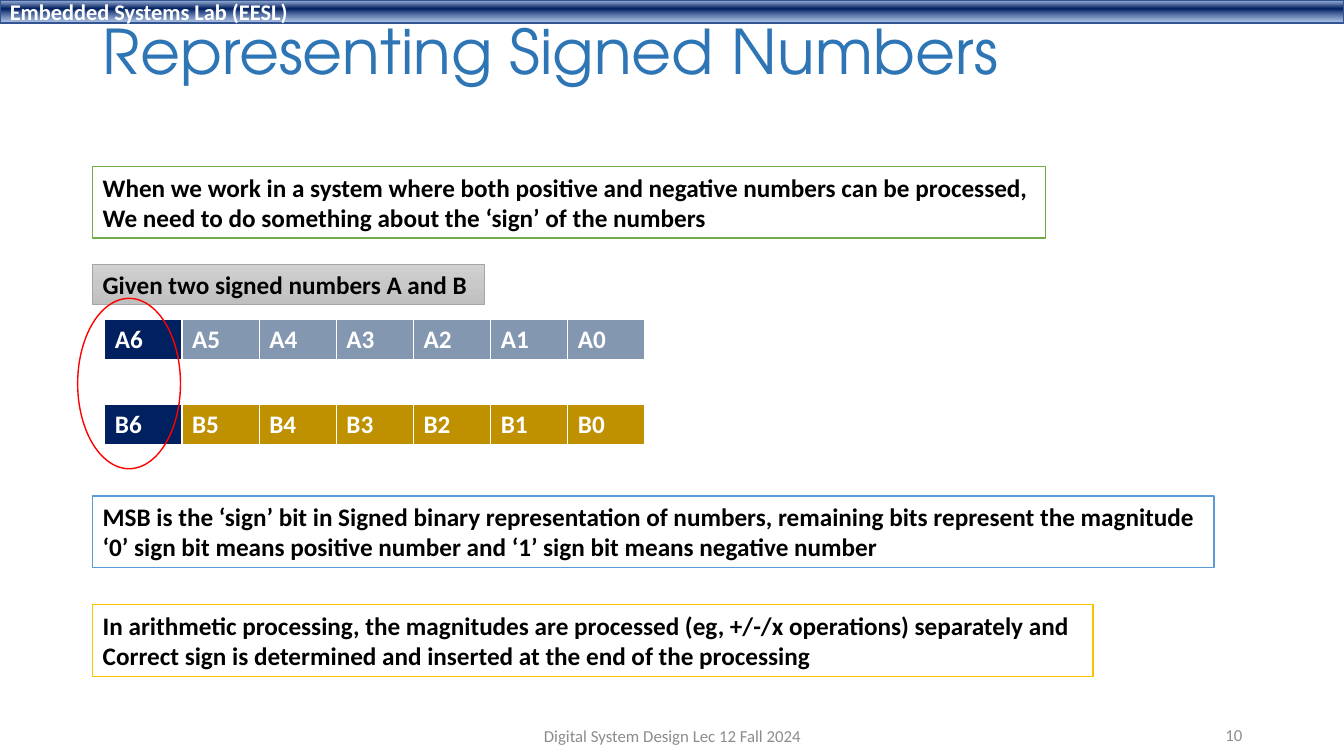
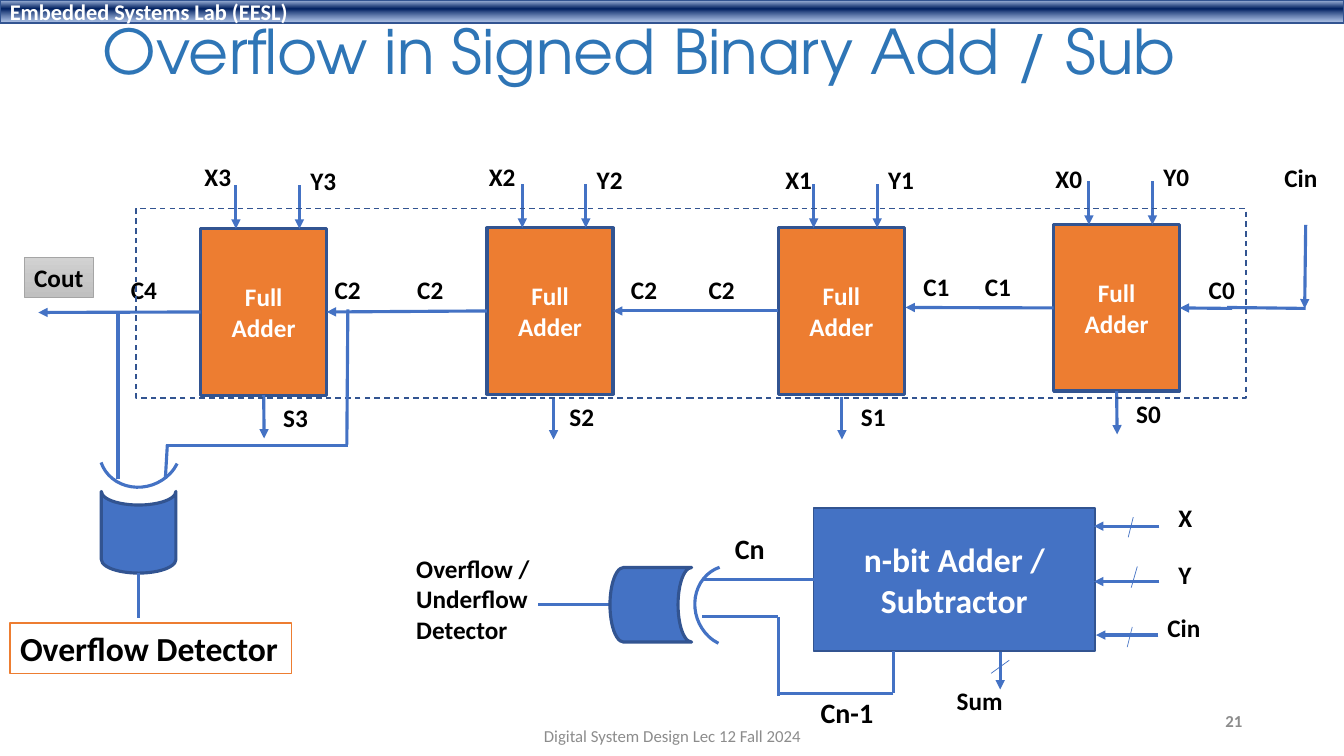
from lxml import etree
from pptx import Presentation
from pptx.dml.color import RGBColor
from pptx.enum import dml, shapes, text
from pptx.oxml.ns import qn
from pptx.util import Pt

PX = 9144
WIDTH, HEIGHT = 1333, 750
BODY, DISPLAY = "Calibri", "TeX Gyre Adventor"
KIND = shapes.MSO_SHAPE
LEFT, CENTER, RIGHT = text.PP_ALIGN.LEFT, text.PP_ALIGN.CENTER, text.PP_ALIGN.RIGHT
MIDDLE = {"vertical_anchor": text.MSO_ANCHOR.MIDDLE, "word_wrap": True}
WRAPPED = {"word_wrap": True, "auto_size": text.MSO_AUTO_SIZE.SHAPE_TO_FIT_TEXT}
SNUG = {**WRAPPED, "word_wrap": False}
TOP_SIDE, LEFT_SIDE, BOTTOM_SIDE, RIGHT_SIDE = range(4)
SIDE_MIDDLES = ((0.5, 0), (0, 0.5), (0.5, 1), (1, 0.5))

THEME = {
    "colors": {
        "white": "FFFFFF", "black": "000000", "title": "2E75B6", "muted": "8C8C8C",
        "navy": "002060", "slate": "8497B0", "ochre": "BF9000", "green": "70AD47",
        "sky": "5B9BD5", "gold": "FFC000", "red": "FF0000", "orange": "ED7D31",
        "blue": "4472C4", "edge": "325491", "gray": "A5A5A5",
    },
    "gradients": {
        "band": ((2, "ABC0E4", 100), (38, "002060", 100), (93, "7E9ED6", 64)),
        "silver": ((0, "D2D2D2", 100), (50, "C8C8C8", 100), (100, "C0C0C0", 100)),
    },
    "type": {
        "title": (DISPLAY, 44, False, "title"),
        "band": (BODY, 16, True, "white"),
        "label": (BODY, 18, True, "black"),
        "signal": (BODY, 20, True, "black"),
        "caption": (BODY, 24, True, "black"),
        "block": (BODY, 18, True, "white"),
        "big block": (BODY, 24, True, "white"),
        "footer": (BODY, 12, False, "muted"),
        "bold footer": (BODY, 12, True, "muted"),
    },
}

LAB = "Embedded Systems Lab (EESL)"
COURSE = "Digital System Design Lec 12 Fall 2024"

NOTES = [
    ((92, 165, 945, 71), "green", [
        "When we work in a system where both positive and negative numbers can be processed,",
        "We need to do something about the ‘sign’ of the numbers"]),
    ((92, 492, 1112, 71), "sky", [
        "MSB is the ‘sign’ bit in Signed binary representation of numbers, remaining bits represent the magnitude",
        "‘0’ sign bit means positive number and ‘1’ sign bit means negative number"]),
    ((92, 600, 992, 71), "gold", [
        "In arithmetic processing, the magnitudes are processed (eg, +/-/x operations) separately and",
        "Correct sign is determined and inserted at the end of the processing"]),
]
GIVEN = "Given two signed numbers A and B"
REGISTERS = [("A", 317, "slate"), ("B", 401, "ochre")]
BITS = range(6, -1, -1)

ADDER_W, ADDER_H = 125, 165
LABEL_W, LABEL_H = 50, 40
ADDERS = [
    {"at": (1045, 223), "x label": (1037, 157), "carry": ("C0", 1189, 267), "stem": None},
    {"at": (772, 226), "x label": (769, 158), "carry": ("C1", 906, 264), "stem": (835, 394)},
    {"at": (483, 226), "x label": (475, 155), "carry": ("C2", 616, 267), "stem": (549, 394)},
    {"at": (199, 227), "x label": (193, 155), "carry": ("C2", 322, 267), "stem": None},
]
RIPPLE_LABELS = [("C1", 967, 264), ("C2", 693, 267), ("C2", 404, 267), ("C4", 120, 267)]
DETECTOR_WIRES = [((164, 475), (166, 441)), ((117, 310), (117, 475)), ((165, 442), (345, 442)),
                  ((344, 441), (345, 307)), ((137, 568), (137, 613))]
DETECTOR_GATE = [((97, 491, 81, 74), 270), ((98, 408, 82, 75), 161.1)]
SUMMARY_WIRES = [((886, 646), (886, 688)), ((886, 688), (772, 688)), ((772, 690), (772, 612)),
                 ((772, 612), (696, 612)), ((605, 600), (534, 600))]
SUMMARY_GATE = [((605, 563, 81, 74), 0), ((686, 564, 82, 75), 251.1)]
BUSES = [
    ("X", (1159, 493, 36, 40), (1150, 522), (1085, 522), (1124, 513), (1119, 533)),
    ("Y", (1159, 550, 36, 40), (1150, 577), (1085, 577), (1128, 562), (1122, 583)),
    ("Cin", (1148, 603, 55, 40), (1149, 630), (1087, 630), (1123, 622), (1118, 642)),
    ("Sum", (939, 675, 68, 40), (992, 647), (992, 684), (1001, 655), (983, 668)),
]
SUMMARY_LABELS = [
    (["Cn"], (719, 522, 52, 44), "signal"),
    (["Cn-1"], (804, 685, 75, 44), "signal"),
    (["Overflow /", "Underflow", "Detector"], (403, 544, 141, 101), "label"),
]


def emu(values):
    return [v * PX for v in values]


def color(name):
    return RGBColor.from_string(THEME["colors"][name])


def apply(target, formats):
    for name, value in formats.items():
        setattr(target, name, value)


def write(frame, lines, role, align=LEFT, formats=None, spacing=None):
    apply(frame, formats or {})
    face, size, bold, ink = THEME["type"][role]
    for i, line in enumerate(lines):
        para = frame.paragraphs[0] if i == 0 else frame.add_paragraph()
        apply(para, {"text": line, "alignment": align, "line_spacing": spacing})
        apply(para.font, {"name": face, "size": Pt(size), "bold": bold})
        para.font.color.rgb = color(ink)


def paint(shape, fill):
    if fill is None:
        shape.fill.background()
    elif fill in THEME["gradients"]:
        shape.fill.gradient()
        shape.fill.gradient_angle = 270
        stops = shape.element.spPr.find(".//" + qn("a:gsLst"))
        stops.clear()
        for pos, rgb, opacity in THEME["gradients"][fill]:
            stop = etree.SubElement(stops, qn("a:gs"), pos=str(pos * 1000))
            tint = etree.SubElement(stop, qn("a:srgbClr"), val=rgb)
            if opacity < 100:
                etree.SubElement(tint, qn("a:alpha"), val=str(opacity * 1000))
    else:
        shape.fill.solid()
        shape.fill.fore_color.rgb = color(fill)


def block(canvas, box, fill, edge, weight=1, kind=KIND.RECTANGLE):
    shape = canvas.add_shape(kind, *emu(box))
    shape.shadow.inherit = False
    paint(shape, fill)
    shape.line.color.rgb = color(edge)
    shape.line.width = Pt(weight)
    return shape


def label(canvas, lines, box, role="label", align=LEFT, formats=SNUG):
    write(canvas.add_textbox(*emu(box)).text_frame, lines, role, align, formats)


def spot(end):
    if isinstance(end[0], int):
        return emu(end)
    part, side = end
    across, down = SIDE_MIDDLES[side]
    return int(part.left + part.width * across), int(part.top + part.height * down)


def wire(canvas, start, end, arrow=False, weight=2.25):
    line = canvas.add_connector(shapes.MSO_CONNECTOR.STRAIGHT, *spot(start), *spot(end))
    for point, join in ((start, line.begin_connect), (end, line.end_connect)):
        if not isinstance(point[0], int):
            join(*point)
    line.line.color.rgb = color("blue")
    line.line.width = Pt(weight)
    props = line.element.spPr
    if arrow:
        etree.SubElement(props.find(qn("a:ln")), qn("a:tailEnd"), type="triangle")
    etree.SubElement(props, qn("a:effectLst"))


def xor_gate(canvas, gate):
    (body_box, body_turn), (arc_box, arc_turn) = gate
    body = block(canvas, body_box, "blue", "edge", 2.25, KIND.FLOWCHART_STORED_DATA)
    body.rotation = body_turn
    arc = block(canvas, arc_box, None, "blue", 2.25, KIND.ARC)
    arc.adjustments[0] = 132.22
    arc.adjustments[1] = 0
    arc.rotation = arc_turn


def add_band(prs, slide):
    band = block(slide.shapes, (0, 0, WIDTH, 23), "band", "edge")
    write(band.text_frame, [LAB], "band", LEFT, MIDDLE)
    band.element.nvSpPr.cNvPr.set("id", "20")
    prs.slide_master.shapes.element.append(band.element)


def add_slide(prs, title, number, number_top, number_role):
    slide = prs.slides.add_slide(prs.slide_layouts[5])
    heading = slide.shapes.title
    apply(heading, dict(zip(("left", "top", "width", "height"), emu((92, 16, 1150, 77)))))
    write(heading.text_frame, [title], "title", LEFT,
          {**MIDDLE, "auto_size": text.MSO_AUTO_SIZE.NONE}, 0.9)
    label(slide.shapes, [COURSE], (442, 710, 450, 40), "footer", CENTER, MIDDLE)
    label(slide.shapes, [number], (942, number_top, 300, 40), number_role, RIGHT, MIDDLE)
    return slide


def signed_numbers(canvas):
    for box, edge, lines in NOTES:
        write(block(canvas, box, "white", edge).text_frame, lines, "label", LEFT, SNUG)
    given = block(canvas, (92, 262, 388, 40), "silver", "gray", 0.5)
    write(given.text_frame, [GIVEN], "label", LEFT, SNUG)
    for name, top, fill in REGISTERS:
        register = canvas.add_table(1, len(BITS), *emu((104, top, 536, 40))).table
        for bit, cell in zip(BITS, register.rows[0].cells):
            paint(cell, "navy" if bit == BITS[0] else fill)
            write(cell.text_frame, [f"{name}{bit}"], "block")
    block(canvas, (77, 296, 102, 169), None, "red", 1, KIND.OVAL)


def ripple_adder(canvas):
    adders = []
    for n, spec in enumerate(ADDERS):
        x, y = spec["at"]
        adder = block(canvas, (x, y, ADDER_W, ADDER_H), "orange", "edge", 2.25)
        write(adder.text_frame, ["Full", "Adder"], "block", CENTER, MIDDLE)
        adders.append(adder)
        for offset in (35, 98):
            wire(canvas, (x + offset, y - 43), (x + offset, y), True)
        stem = spec["stem"]
        foot = (stem[0], stem[1] + 42) if stem else (x + 63, y + 208)
        wire(canvas, stem or (adder, BOTTOM_SIDE), foot, True)
        carry, carry_x, carry_y = spec["carry"]
        for name, at in ((f"X{n}", spec["x label"]), (f"Y{n}", (x + 99, y - 68)),
                         (f"S{n}", (x + 72, y + 167)), (carry, (carry_x, carry_y))):
            label(canvas, [name], (*at, LABEL_W, LABEL_H))
    first, second, third, last = adders
    wire(canvas, (1222, 306), (first, RIGHT_SIDE), True)
    wire(canvas, (first, LEFT_SIDE), (898, 305), True)
    wire(canvas, (second, LEFT_SIDE), (third, RIGHT_SIDE), True)
    wire(canvas, (third, LEFT_SIDE), (last, RIGHT_SIDE), True)
    wire(canvas, (last, LEFT_SIDE), (38, 310), True)
    wire(canvas, (1295, 223), (1294, 306), True)
    wire(canvas, (1295, 306), (1217, 305))
    for name, x, y in RIPPLE_LABELS:
        label(canvas, [name], (x, y, LABEL_W, LABEL_H))
    label(canvas, ["Cin"], (1264, 156, 55, LABEL_H))
    boundary = block(canvas, (135, 207, 1101, 188), None, "edge")
    boundary.line.dash_style = dml.MSO_LINE.DASH
    cout = block(canvas, (24, 255, 69, 40), "silver", "gray", 0.5)
    write(cout.text_frame, ["Cout"], "label", LEFT, WRAPPED)


def overflow_detector(canvas):
    xor_gate(canvas, DETECTOR_GATE)
    for start, end in DETECTOR_WIRES:
        wire(canvas, start, end)
    detector = block(canvas, (10, 618, 279, 50), "white", "orange")
    write(detector.text_frame, ["Overflow Detector"], "caption", LEFT, SNUG)


def adder_summary(canvas):
    unit = block(canvas, (807, 504, 279, 142), "blue", "edge")
    write(unit.text_frame, ["n-bit Adder / Subtractor"], "big block", CENTER, MIDDLE)
    wire(canvas, (unit, LEFT_SIDE), (696, 575))
    for start, end in SUMMARY_WIRES:
        wire(canvas, start, end)
    xor_gate(canvas, SUMMARY_GATE)
    for lines, box, role in SUMMARY_LABELS:
        label(canvas, lines, box, role)
    for name, box, start, end, slash_start, slash_end in BUSES:
        wire(canvas, start, end, True)
        wire(canvas, slash_start, slash_end, weight=0.5)
        label(canvas, [name], box)


def main():
    prs = Presentation()
    prs.slide_width, prs.slide_height = emu((WIDTH, HEIGHT))
    signed = add_slide(prs, "Representing Signed Numbers", "10", 709, "footer")
    add_band(prs, signed)
    signed_numbers(signed.shapes)
    overflow = add_slide(prs, "Overflow in Signed Binary Add / Sub", "21", 695, "bold footer")
    ripple_adder(overflow.shapes)
    for draw in (overflow_detector, adder_summary):
        draw(overflow.shapes.add_group_shape().shapes)
    prs.save("out.pptx")


if __name__ == "__main__":
    main()
